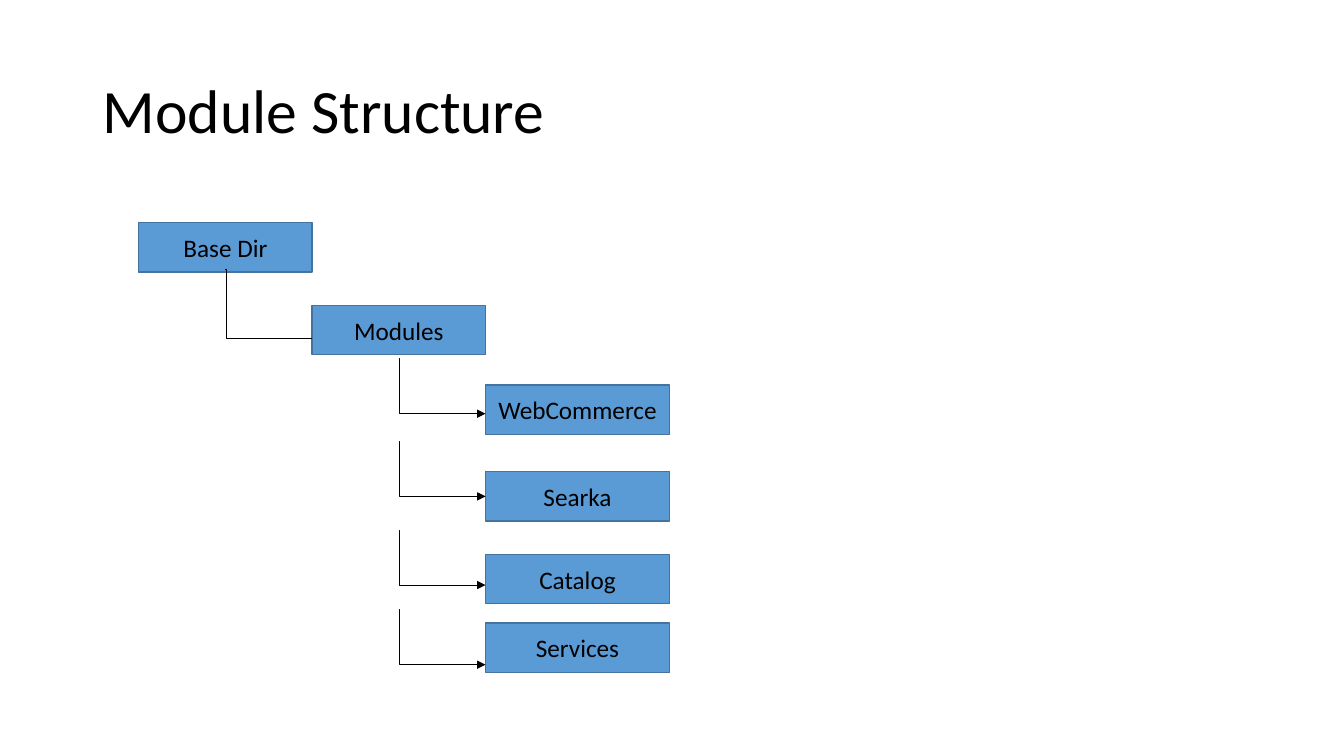
"""Builds the module structure slide as a directory tree."""
from pptx import Presentation
from pptx import util as u
from pptx.dml.color import RGBColor
from pptx.enum import shapes, text
from pptx.oxml import ns
from lxml import etree

BLACK = RGBColor(0, 0, 0)
WHITE = RGBColor(255, 255, 255)
BLUE = RGBColor(0x5B, 0x9B, 0xD5)
DARK_BLUE = RGBColor(0x43, 0x73, 0x9E)

COLUMN, ROW = u.Inches(0.86), u.Inches(0.5)
BOX_WIDTH, LEAF_WIDTH, BOX_HEIGHT = 2, 2.12, 0.98
ROOT_COLUMN, MODULES_COLUMN, LEAF_COLUMN = 1.6, 3.6, 5.6
LEAVES = [
    ("WebCommerce", 7.64, 7.12),
    ("Searka", 9.36, 8.76),
    ("Catalog", 11, 10.52),
    ("Services", 12.36, 12.1),
]


class TreeSlide:
    """Holds the style and the slide, and draws on a grid of columns and rows."""

    font = "Calibri"

    def __init__(self, deck):
        self.page = deck.slides.add_slide(deck.slide_layouts[5])
        fill = self.page.background.fill
        fill.solid()
        fill.fore_color.rgb = WHITE

    def grid(self, *lengths):
        return [round(length * unit) for length, unit in zip(lengths, (COLUMN, ROW) * 2)]

    def label(self, frame, words, size, align):
        frame.word_wrap = True
        frame.vertical_anchor = text.MSO_ANCHOR.MIDDLE
        para = frame.paragraphs[0]
        para.alignment = align
        span = para.add_run()
        span.text = words
        span.font.name = self.font
        span.font.size = u.Pt(size)
        span.font.color.rgb = BLACK
        return para

    def title(self, words, *place):
        box = self.page.shapes.title
        box.left, box.top, box.width, box.height = self.grid(*place)
        para = self.label(box.text_frame, words, 44, text.PP_ALIGN.LEFT)
        para.line_spacing = 0.9

    def box(self, words, column, row, width=BOX_WIDTH):
        place = self.grid(column, row, width, BOX_HEIGHT)
        box = self.page.shapes.add_shape(shapes.MSO_SHAPE.RECTANGLE, *place)
        box.shadow.inherit = False
        box.fill.solid()
        box.fill.fore_color.rgb = BLUE
        box.line.color.rgb = DARK_BLUE
        box.line.width = u.Pt(1)
        self.label(box.text_frame, words, 18, text.PP_ALIGN.CENTER)

    def branch(self, column, row, drop, arrow=True):
        ends = self.grid(column, row, column + 1, row + drop)
        branch = self.page.shapes.add_connector(shapes.MSO_CONNECTOR.ELBOW, *ends)
        branch.line.color.rgb = BLACK
        branch.line.width = u.Pt(0.5)
        properties = branch.element.spPr
        bends = properties.find(".//" + ns.qn("a:avLst"))
        etree.SubElement(bends, ns.qn("a:gd"), name="adj1", fmla="val 800")
        if arrow:
            outline = properties.find(ns.qn("a:ln"))
            etree.SubElement(outline, ns.qn("a:tailEnd"), type="triangle")
        etree.SubElement(properties, ns.qn("a:effectLst"))


deck = Presentation()
deck.slide_width, deck.slide_height = u.Inches(13.33), u.Inches(7.5)

tree = TreeSlide(deck)
tree.title("Module Structure", 1.07, 0.8, 13.37, 2.9)
tree.box("Base Dir", ROOT_COLUMN, 4.42)
tree.box("Modules", MODULES_COLUMN, 6.06)
tree.branch(ROOT_COLUMN + 1, 5.34, 1.38, arrow=False)
for name, box_row, branch_row in LEAVES:
    tree.box(name, LEAF_COLUMN, box_row, LEAF_WIDTH)
    tree.branch(MODULES_COLUMN + 1, branch_row, 1.09)

deck.save("out.pptx")
